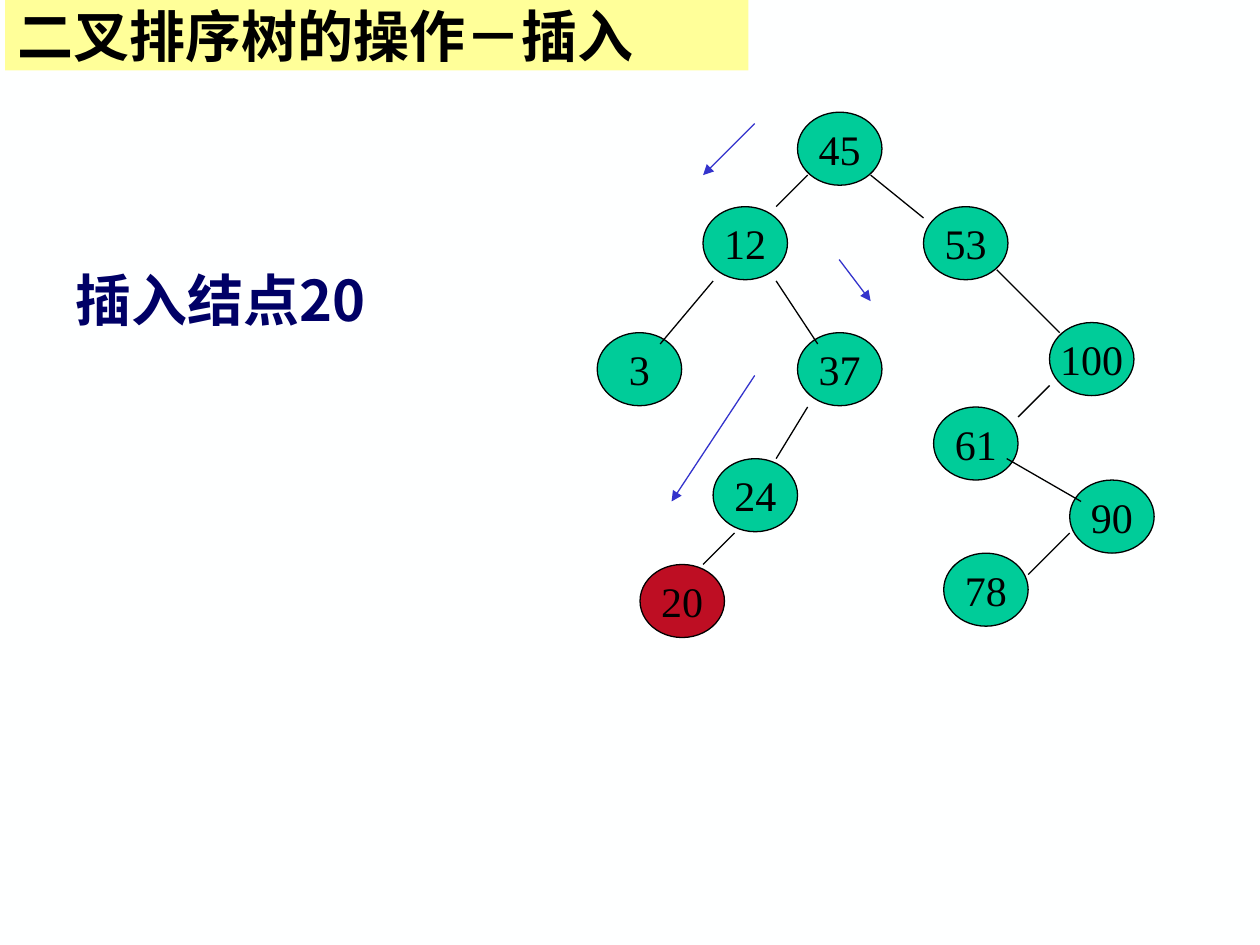
from typing import NamedTuple

from lxml.etree import SubElement
from pptx import Presentation
from pptx.dml.color import RGBColor
from pptx.enum.shapes import MSO_CONNECTOR, MSO_SHAPE
from pptx.enum.text import MSO_ANCHOR, PP_ALIGN
from pptx.oxml.ns import qn
from pptx.shapes.autoshape import Shape
from pptx.slide import Slide
from pptx.util import Inches, Pt

NODE_WIDTH, NODE_HEIGHT = 0.67, 0.58
GREEN, RED = "00CC99", "BE0E23"
BLACK, BLUE, NAVY = "000000", "3333CC", "000066"
YELLOW, BACKGROUND = "FFFF99", "FEFFFF"
NODE_FONT, HEADING_FONT = "Times New Roman", "Noto Sans CJK SC"


class Node(NamedTuple):
    key: int
    left: float
    top: float
    color: str = GREEN


class Line(NamedTuple):
    start_x: float
    start_y: float
    end_x: float
    end_y: float


NODES = [
    Node(45, 6.33, 0.89),
    Node(12, 5.58, 1.64),
    Node(53, 7.33, 1.64),
    Node(3, 4.74, 2.64),
    Node(37, 6.33, 2.64),
    Node(24, 5.66, 3.64),
    Node(100, 8.33, 2.56),
    Node(61, 7.41, 3.23),
    Node(90, 8.49, 3.81),
    Node(78, 7.49, 4.39),
    Node(20, 5.08, 4.48, RED),
]

EDGES = [
    Line(6.41, 1.39, 6.16, 1.64),
    Line(5.66, 2.23, 5.24, 2.73),
    Line(6.16, 2.23, 6.49, 2.73),
    Line(6.41, 3.23, 6.16, 3.64),
    Line(6.91, 1.39, 7.33, 1.73),
    Line(7.91, 2.14, 8.41, 2.64),
    Line(8.33, 3.06, 8.08, 3.31),
    Line(7.99, 3.64, 8.58, 3.98),
    Line(8.49, 4.23, 8.16, 4.56),
    Line(5.83, 4.23, 5.58, 4.48),
]

SEARCH_STEPS = [
    Line(5.99, 0.98, 5.58, 1.39),
    Line(6.66, 2.06, 6.91, 2.39),
    Line(5.99, 2.98, 5.33, 3.98),
]


def rgb(color: str) -> RGBColor:
    return RGBColor.from_string(color)


def write_text(shape: Shape, text: str, font_name: str, size: int, color: str,
               bold: bool = False, alignment: PP_ALIGN = PP_ALIGN.LEFT) -> None:
    paragraph = shape.text_frame.paragraphs[0]
    paragraph.alignment = alignment
    run = paragraph.add_run()
    run.text = text
    run.font.size = Pt(size)
    run.font.bold = bold
    run.font.color.rgb = rgb(color)
    run.font.name = font_name
    east_asian = SubElement(run.font._element, qn("a:ea"))
    east_asian.set("typeface", font_name)


def add_node(slide: Slide, node: Node) -> None:
    ellipse = slide.shapes.add_shape(
        MSO_SHAPE.OVAL, Inches(node.left), Inches(node.top),
        Inches(NODE_WIDTH), Inches(NODE_HEIGHT))
    ellipse.shadow.inherit = False
    ellipse.fill.solid()
    ellipse.fill.fore_color.rgb = rgb(node.color)
    ellipse.line.color.rgb = rgb(BLACK)
    ellipse.line.width = Pt(0.75)
    ellipse.text_frame.word_wrap = False
    ellipse.text_frame.vertical_anchor = MSO_ANCHOR.MIDDLE
    write_text(ellipse, str(node.key), NODE_FONT, 24, BLACK,
               alignment=PP_ALIGN.CENTER)


def add_line(slide: Slide, line: Line, color: str, arrow: bool = False) -> None:
    connector = slide.shapes.add_connector(
        MSO_CONNECTOR.STRAIGHT, Inches(line.start_x), Inches(line.start_y),
        Inches(line.end_x), Inches(line.end_y))
    connector.line.color.rgb = rgb(color)
    connector.line.width = Pt(0.75)
    properties = connector._element.spPr
    if arrow:
        arrowhead = SubElement(properties.find(qn("a:ln")), qn("a:tailEnd"))
        arrowhead.set("type", "triangle")
    SubElement(properties, qn("a:effectLst"))


def add_title(slide: Slide) -> None:
    banner = slide.shapes.add_shape(
        MSO_SHAPE.RECTANGLE, Inches(0.04), Inches(0), Inches(5.9), Inches(0.56))
    banner.shadow.inherit = False
    banner.fill.solid()
    banner.fill.fore_color.rgb = rgb(YELLOW)
    banner.line.fill.background()
    banner.text_frame.vertical_anchor = MSO_ANCHOR.MIDDLE
    write_text(banner, "二叉排序树的操作－插入", HEADING_FONT, 32, BLACK, bold=True)


def add_caption(slide: Slide) -> None:
    caption = slide.shapes.add_textbox(
        Inches(0.5), Inches(2.06), Inches(2.84), Inches(0.64))
    caption.text_frame.word_wrap = True
    write_text(caption, "插入结点20", HEADING_FONT, 32, NAVY, bold=True)


def main() -> None:
    presentation = Presentation()
    presentation.slide_width = Inches(10)
    presentation.slide_height = Inches(7.5)
    slide = presentation.slides.add_slide(presentation.slide_layouts[6])
    slide.background.fill.solid()
    slide.background.fill.fore_color.rgb = rgb(BACKGROUND)

    for node in NODES:
        add_node(slide, node)
    for edge in EDGES:
        add_line(slide, edge, BLACK)
    for step in SEARCH_STEPS:
        add_line(slide, step, BLUE, arrow=True)
    add_caption(slide)
    add_title(slide)

    presentation.save("out.pptx")


if __name__ == "__main__":
    main()
